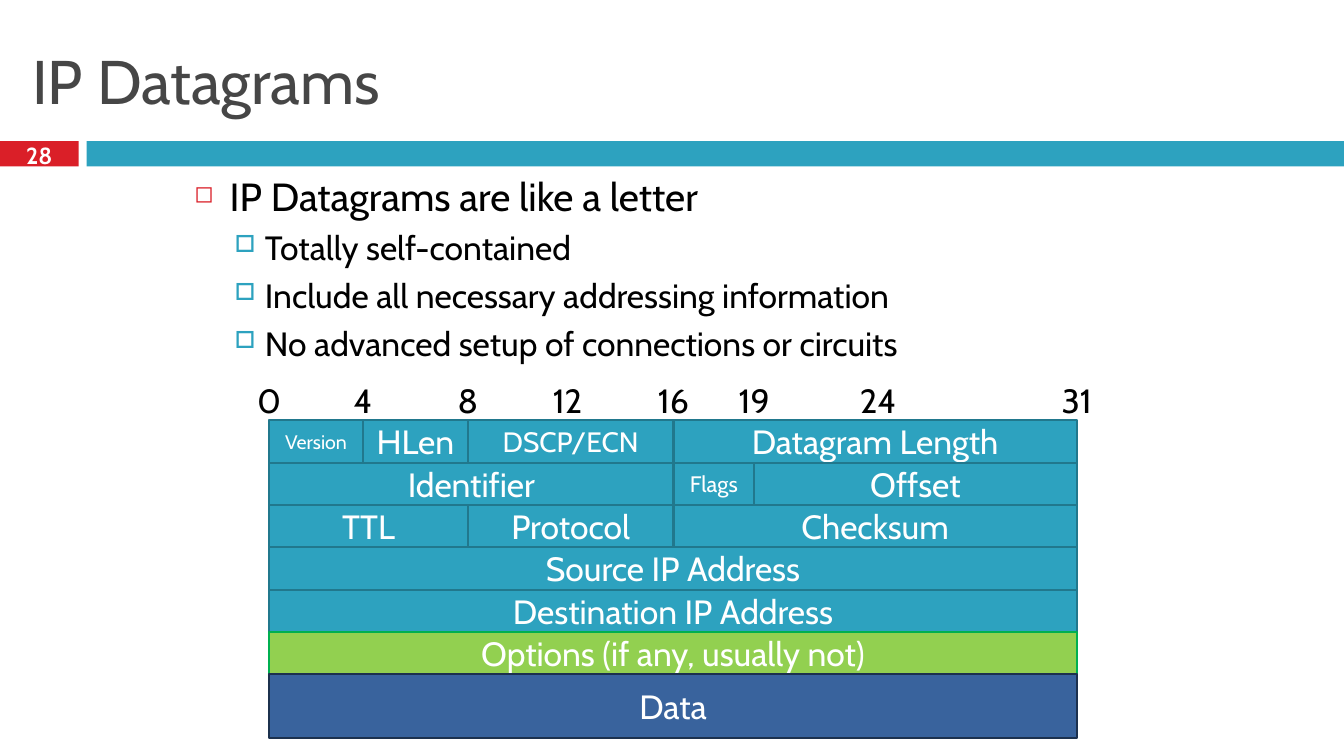
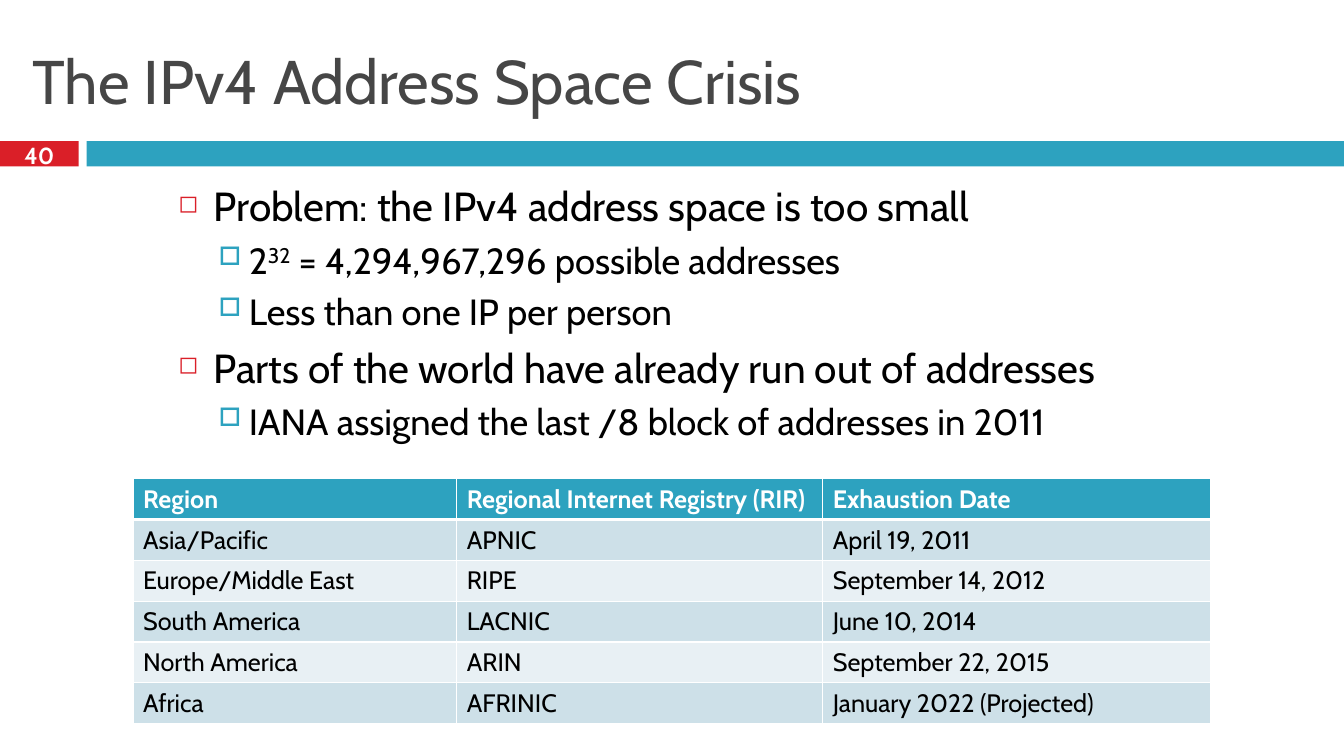
"""Build two networking lecture slides: IP datagrams and the IPv4 address crisis."""
from lxml.etree import SubElement
from pptx import Presentation
from pptx.dml.color import RGBColor
from pptx.enum.shapes import MSO_SHAPE as Shape
from pptx.enum.text import MSO_ANCHOR as Anchor, PP_ALIGN as Align
from pptx.oxml.ns import qn
from pptx.util import Emu, Pt

EMU_PER_PX = 9144
FONT = "Cabin"
COLORS = {
    "title": "464646", "text": "000000", "white": "FFFFFF",
    "red": "DA1F28", "teal": "2DA2BF", "teal_line": "21788D",
    "green": "92D050", "green_line": "00B050",
    "navy": "39639D", "navy_line": "1C314E",
    "row_dark": "CDE0E8", "row_light": "E8F0F4",
}
BULLETS = [
    {"char": "◻", "color": "red", "percent": 60, "margin": 35, "hang": 35, "before": 7},
    {"char": "□", "color": "teal", "percent": 70, "margin": 70, "hang": 30, "before": 5.5},
]
BIT_X = {0: 0, 4: 93, 8: 197, 12: 296, 16: 401, 19: 481, 24: 604, 31: 801}
DATAGRAM_ROWS = [
    [(0, 4, "Version", 14), (4, 8, "HLen", 24), (8, 16, "DSCP/ECN", 20),
     (16, 31, "Datagram Length", 24)],
    [(0, 16, "Identifier", 24), (16, 19, "Flags", 16), (19, 31, "Offset", 24)],
    [(0, 8, "TTL", 24), (8, 16, "Protocol", 24), (16, 31, "Checksum", 24)],
    [(0, 31, "Source IP Address", 24)],
    [(0, 31, "Destination IP Address", 24)],
    [(0, 31, "Options (if any, usually not)", 24)],
    [(0, 31, "Data", 24)],
]
ROW_STYLES = [("teal", 42)] * 5 + [("green", 42), ("navy", 63)]
REGISTRY_ROWS = [
    ("Region", "Regional Internet Registry (RIR)", "Exhaustion Date"),
    ("Asia/Pacific", "APNIC", "April 19, 2011"),
    ("Europe/Middle East", "RIPE", "September 14, 2012"),
    ("South America", "LACNIC", "June 10, 2014"),
    ("North America", "ARIN", "September 22, 2015"),
    ("Africa", "AFRINIC", "January 2022 (Projected)"),
]


def px(length):
    """Turn px into EMU."""
    return Emu(length * EMU_PER_PX)


def rgb(name):
    """Look up a colour by name."""
    return RGBColor.from_string(COLORS[name])


def set_font(paragraph, size, color, bold=False):
    """Format the font of a whole paragraph."""
    font = paragraph.font
    font.name, font.size, font.bold = FONT, Pt(size), bold
    font.color.rgb = rgb(color)


def add_rectangle(slide, box, fill, line=None):
    """Add a flat rectangle with an optional outline."""
    shape = slide.shapes.add_shape(Shape.RECTANGLE, *map(px, box))
    shape.shadow.inherit = False
    shape.fill.solid()
    shape.fill.fore_color.rgb = rgb(fill)
    if line:
        shape.line.color.rgb = rgb(line)
        shape.line.width = Pt(1.5)
    else:
        shape.line.fill.background()
    return shape


def set_centered(shape, text, size, color, bold=False):
    """Write one line of text in the middle of a shape."""
    frame = shape.text_frame
    frame.word_wrap = True
    frame.vertical_anchor = Anchor.MIDDLE
    paragraph = frame.paragraphs[0]
    paragraph.text = text
    paragraph.alignment = Align.CENTER
    set_font(paragraph, size, color, bold)


def add_label(slide, box, text, size, color, bold=False):
    """Add a text box with one centred line."""
    set_centered(slide.shapes.add_textbox(*map(px, box)), text, size, color, bold)


def add_titled_slide(presentation, title_text, number):
    """Add a slide with its title, bands and page number."""
    slide = presentation.slides.add_slide(presentation.slide_layouts[5])
    add_rectangle(slide, (0, 140, 78, 25), "red")
    add_rectangle(slide, (86, 140, 1247, 25), "teal")
    title = slide.shapes.title
    title.left, title.top, title.width, title.height = map(px, (22, 25, 1289, 108))
    title.text_frame.vertical_anchor = Anchor.MIDDLE
    paragraph = title.text_frame.paragraphs[0]
    paragraph.text = title_text
    paragraph.alignment = Align.LEFT
    set_font(paragraph, 44, "title")
    add_label(slide, (0, 137, 78, 33), number, 16.6, "white", bold=True)
    return slide


def set_bullet(paragraph, level):
    """Give a paragraph the bullet and indent of its level."""
    bullet = BULLETS[level]
    paragraph.level = level
    properties = paragraph._p.get_or_add_pPr()
    properties.set("marL", str(px(bullet["margin"])))
    properties.set("indent", str(-px(bullet["hang"])))
    color = SubElement(properties, qn("a:buClr"))
    SubElement(color, qn("a:srgbClr"), val=COLORS[bullet["color"]])
    SubElement(properties, qn("a:buSzPct"), val=str(bullet["percent"] * 1000))
    SubElement(properties, qn("a:buChar"), char=bullet["char"])


def add_bullets(slide, box, items, sizes):
    """Add bulleted text; every second part of an item is superscript."""
    frame = slide.shapes.add_textbox(*map(px, box)).text_frame
    frame.word_wrap = True
    for index, (level, *parts) in enumerate(items):
        paragraph = frame.add_paragraph() if index else frame.paragraphs[0]
        set_bullet(paragraph, level)
        paragraph.space_before = Pt(BULLETS[level]["before"] if index else 0)
        set_font(paragraph, sizes[level], "text")
        for position, part in enumerate(parts):
            run = paragraph.add_run()
            run.text = part
            if position % 2:
                run._r.get_or_add_rPr().set("baseline", "30000")


def add_datagram(slide, left, top):
    """Draw the header fields row by row below a bit scale."""
    y = top
    for fields, (color, height) in zip(DATAGRAM_ROWS, ROW_STYLES):
        for start, end, text, size in fields:
            box = (left + BIT_X[start], y, BIT_X[end] - BIT_X[start], height)
            shape = add_rectangle(slide, box, color, f"{color}_line")
            set_centered(shape, text, size, "white")
        y += height
    for bit, x in BIT_X.items():
        add_label(slide, (left + x - 33, top - 53, 66, 66), str(bit), 24, "text")


def set_borders(cell, bottom_width):
    """Draw white borders around a table cell."""
    properties = cell._tc.get_or_add_tcPr()
    widths = {"a:lnL": 1, "a:lnR": 1, "a:lnT": 1, "a:lnB": bottom_width}
    for position, (tag, width) in enumerate(widths.items()):
        line = SubElement(properties, qn(tag), w=str(Pt(width)))
        fill = SubElement(line, qn("a:solidFill"))
        SubElement(fill, qn("a:srgbClr"), val=COLORS["white"])
        properties.insert(position, line)


def add_registry_table(slide, box, column_widths):
    """Add the table of registries with a header and banded rows."""
    shape = slide.shapes.add_table(len(REGISTRY_ROWS), len(column_widths), *map(px, box))
    table = shape.table
    for column, width in zip(table.columns, column_widths):
        column.width = px(width)
    for row_index, texts in enumerate(REGISTRY_ROWS):
        header = row_index == 0
        fill = "teal" if header else "row_dark" if row_index % 2 else "row_light"
        for column_index, text in enumerate(texts):
            cell = table.cell(row_index, column_index)
            cell.fill.solid()
            cell.fill.fore_color.rgb = rgb(fill)
            cell.vertical_anchor = Anchor.BOTTOM if header else Anchor.TOP
            set_borders(cell, 3 if header else 1)
            paragraph = cell.text_frame.paragraphs[0]
            paragraph.text = text
            set_font(paragraph, 18, "white" if header else "text", header)


def build_datagram_slide(presentation):
    """Build the slide on the IP datagram format."""
    slide = add_titled_slide(presentation, "IP Datagrams", "28")
    add_bullets(slide, (183, 166, 967, 225), [
        (0, "IP Datagrams are like a letter"),
        (1, "Totally self-contained"),
        (1, "Include all necessary addressing information"),
        (1, "No advanced setup of connections or circuits"),
    ], (28, 24))
    add_datagram(slide, 267, 417)


def build_crisis_slide(presentation):
    """Build the slide on IPv4 address exhaustion."""
    slide = add_titled_slide(presentation, "The IPv4 Address Space Crisis", "40")
    add_bullets(slide, (167, 175, 1000, 283), [
        (0, "Problem: the IPv4 address space is too small"),
        (1, "2", "32", " = 4,294,967,296 possible addresses"),
        (1, "Less than one IP per person"),
        (0, "Parts of the world have already run out of addresses"),
        (1, "IANA assigned the last /8 block of addresses in 2011"),
    ], (29, 26))
    add_registry_table(slide, (132, 475, 1069, 243), (321, 363, 385))


def main():
    """Build and save the presentation."""
    presentation = Presentation()
    presentation.slide_width, presentation.slide_height = px(1333), px(750)
    build_datagram_slide(presentation)
    build_crisis_slide(presentation)
    presentation.save("out.pptx")


if __name__ == "__main__":
    main()
